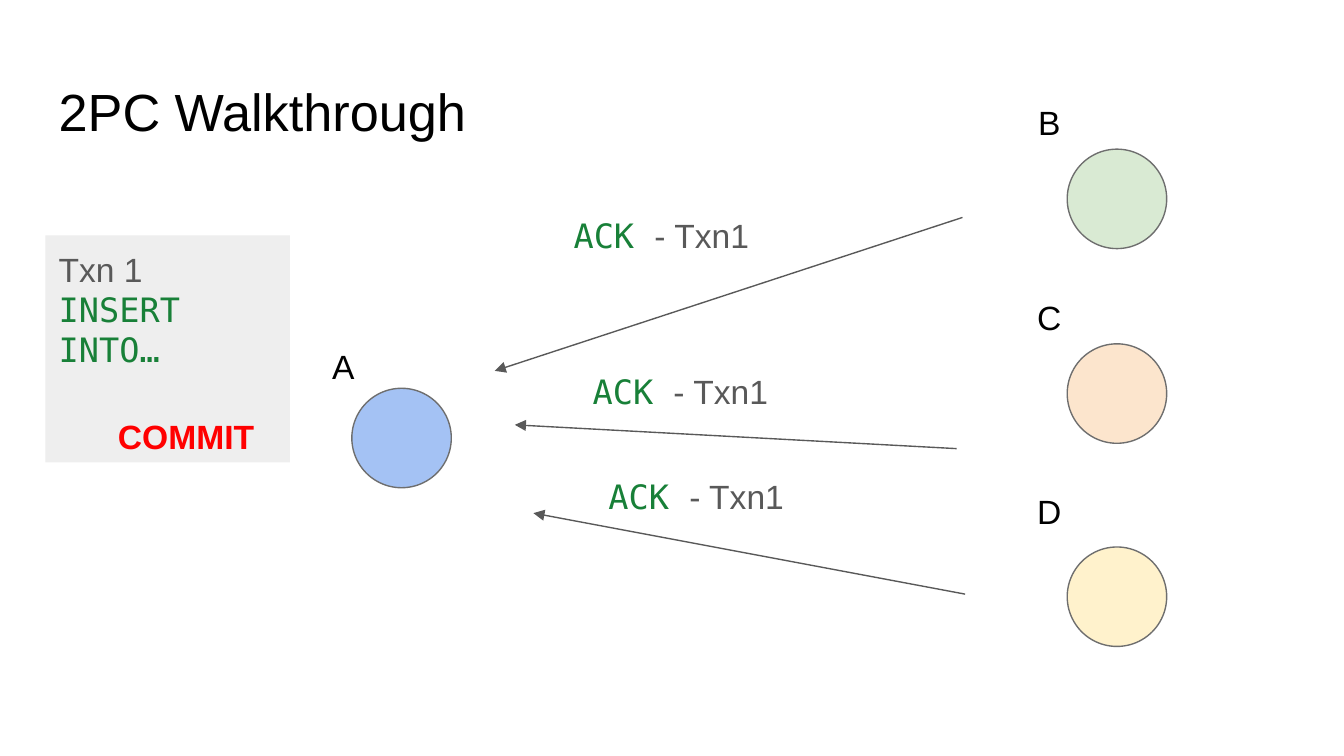
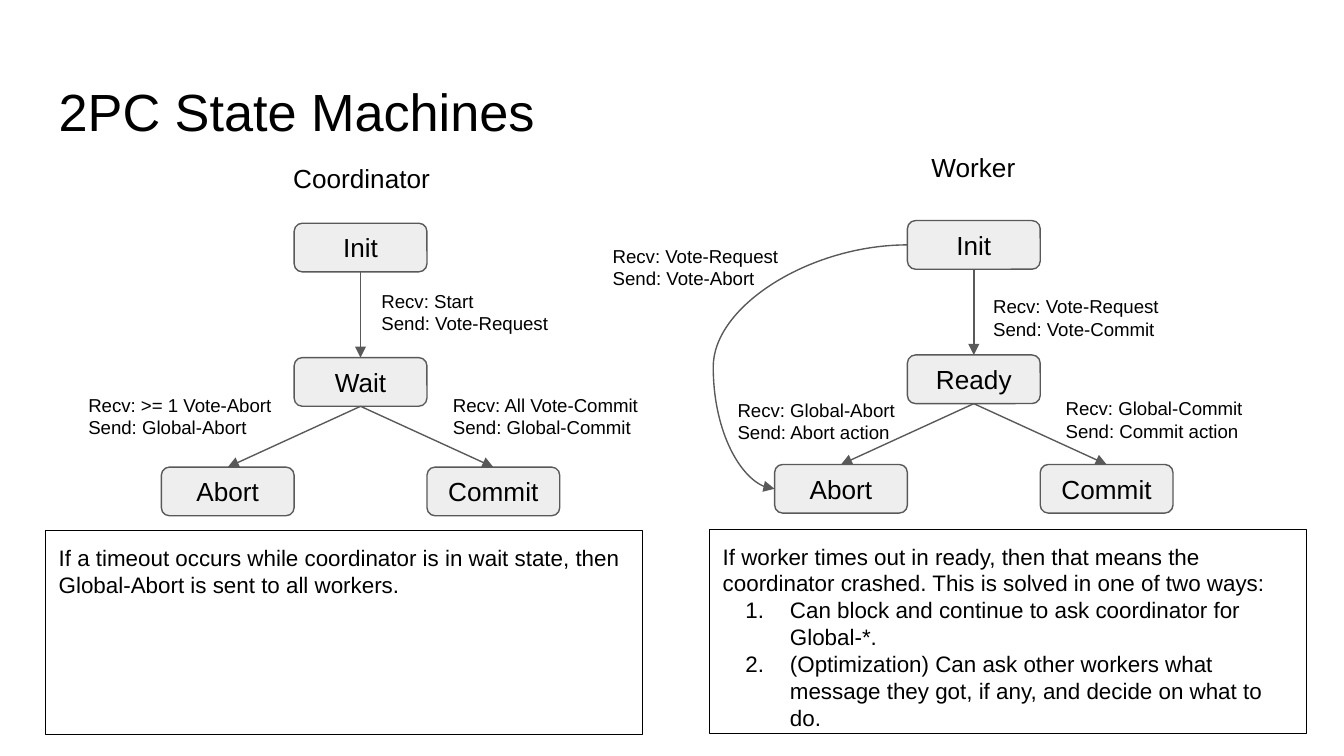
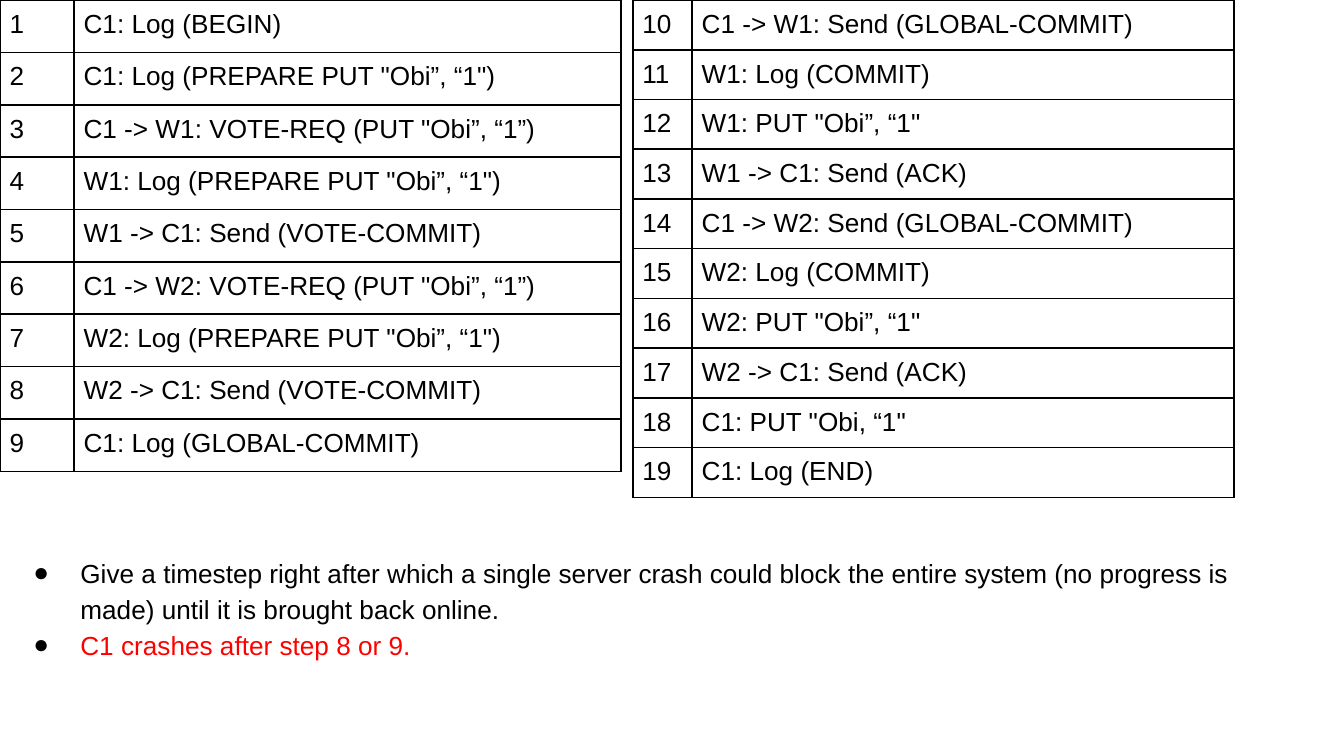
from dataclasses import dataclass
from typing import NamedTuple, Optional

from lxml.etree import SubElement
from pptx import Presentation
from pptx.dml.color import RGBColor
from pptx.enum.shapes import MSO_CONNECTOR as Connector, MSO_SHAPE as Preset
from pptx.enum.text import MSO_ANCHOR as Anchor, MSO_AUTO_SIZE as AutoSize, PP_ALIGN as Align
from pptx.oxml.ns import qn
from pptx.util import Cm, Pt

BLACK = RGBColor(0x00, 0x00, 0x00)
RED = RGBColor(0xFF, 0x00, 0x00)
GREEN = RGBColor(0x18, 0x80, 0x38)
DARK_GRAY = RGBColor(0x59, 0x59, 0x59)
OUTLINE_GRAY = RGBColor(0x6E, 0x6E, 0x6E)
LIGHT_GRAY = RGBColor(0xEE, 0xEE, 0xEE)
NODE_BLUE = RGBColor(0xA4, 0xC2, 0xF4)
NODE_GREEN = RGBColor(0xD9, 0xEA, 0xD3)
NODE_ORANGE = RGBColor(0xFC, 0xE5, 0xCD)
NODE_YELLOW = RGBColor(0xFF, 0xF2, 0xCC)

SANS, MONO = "Arial", "DejaVu Sans Mono"
TITLE_ONLY, BLANK = 5, 6
TOP, LEFT, BOTTOM = 0, 1, 2
HAIRLINE = Pt(0.75)
INSET = Cm(0.25)
CELL_INSET = Cm(0.18)


class Box(NamedTuple):
    """Left, top, width and height in centimetres."""
    left: float
    top: float
    width: float
    height: float

    def lengths(self) -> tuple:
        return tuple(Cm(value) for value in self)


class Run(NamedTuple):
    text: str
    size: float = 18
    color: RGBColor = BLACK
    font: str = SANS
    bold: bool = False


class Marker(NamedTuple):
    tag: str
    attributes: dict
    hanging: float


NUMBER = Marker("a:buAutoNum", {"type": "arabicPeriod"}, 0.84)
BULLET = Marker("a:buChar", {"char": "●"}, 0.89)


@dataclass
class TextLine:
    runs: list[Run]
    alignment: Align = Align.LEFT
    spacing: float = 1.0
    marker: Optional[Marker] = None


@dataclass
class Server:
    name: str
    label_left: float
    label_top: float
    left: float
    top: float
    color: RGBColor


@dataclass
class Message:
    """An arrow with its caption position."""
    start: tuple[float, float]
    end: tuple[float, float]
    caption: tuple[float, float]


@dataclass
class Transition:
    left: float
    top: float
    received: str
    sent: str


@dataclass
class StateMachine:
    role: str
    heading: tuple[float, float]
    init: tuple[float, float]
    waiting: str
    transitions: list[Transition]
    note_box: Box
    note: list[TextLine]


@dataclass
class StepTable:
    left: float
    columns: tuple[float, float]
    row_height: float
    first_step: int
    steps: list[str]


def assign(target, values: dict) -> None:
    for name, value in values.items():
        setattr(target, name, value)


def add_marker(paragraph, marker: Marker) -> None:
    properties = paragraph._p.get_or_add_pPr()
    properties.set("marL", str(Cm(1.27)))
    properties.set("indent", str(-Cm(marker.hanging)))
    color = SubElement(properties, qn("a:buClr"))
    SubElement(color, qn("a:srgbClr"), val=str(BLACK))
    SubElement(properties, qn("a:buFont"), typeface=SANS)
    SubElement(properties, qn(marker.tag), marker.attributes)


def write_runs(paragraph, runs: list[Run]) -> None:
    for item in runs:
        run = paragraph.add_run()
        run.text = item.text
        assign(run.font, {"name": item.font, "size": Pt(item.size), "bold": item.bold})
        run.font.color.rgb = item.color


def write_text(shape, lines: list[TextLine], anchor: Anchor = Anchor.TOP) -> None:
    frame = shape.text_frame
    assign(frame, {
        "word_wrap": True, "auto_size": AutoSize.NONE, "vertical_anchor": anchor,
        "margin_left": INSET, "margin_right": INSET,
        "margin_top": INSET, "margin_bottom": INSET,
    })
    for index, line in enumerate(lines):
        paragraph = frame.add_paragraph() if index else frame.paragraphs[0]
        if line.marker:
            add_marker(paragraph, line.marker)
        assign(paragraph, {"alignment": line.alignment, "line_spacing": line.spacing})
        write_runs(paragraph, line.runs)


def add_text(slide, box: Box, lines: list[TextLine], anchor: Anchor = Anchor.TOP):
    shape = slide.shapes.add_textbox(*box.lengths())
    write_text(shape, lines, anchor)
    return shape


def add_preset(slide, preset: Preset, box: Box, fill: Optional[RGBColor] = None,
               line: Optional[RGBColor] = None):
    shape = slide.shapes.add_shape(preset, *box.lengths())
    shape.shadow.inherit = False
    if fill is None:
        shape.fill.background()
    else:
        shape.fill.solid()
        shape.fill.fore_color.rgb = fill
    if line is None:
        shape.line.fill.background()
    else:
        shape.line.color.rgb = line
        shape.line.width = HAIRLINE
    return shape


def add_arrow(slide, start=(0, 0), end=(0, 0), kind: Connector = Connector.STRAIGHT):
    points = [Cm(value) for value in (*start, *end)]
    connector = slide.shapes.add_connector(kind, *points)
    connector.line.color.rgb = DARK_GRAY
    connector.line.width = HAIRLINE
    properties = connector._element.spPr
    SubElement(properties.find(qn("a:ln")), qn("a:tailEnd"), type="triangle")
    SubElement(properties, qn("a:effectLst"))
    return connector


def join(slide, source, source_side: int, target, target_side: int,
         kind: Connector = Connector.STRAIGHT):
    connector = add_arrow(slide, kind=kind)
    connector.begin_connect(source, source_side)
    connector.end_connect(target, target_side)
    return connector


def add_titled_slide(presentation, title: str, width: float):
    slide = presentation.slides.add_slide(presentation.slide_layouts[TITLE_ONLY])
    placeholder = slide.shapes.title
    lengths = Box(0.86, 1.24, width, 1.6).lengths()
    assign(placeholder, dict(zip(("left", "top", "width", "height"), lengths)))
    write_text(placeholder, [TextLine([Run(title, 28)])])
    return slide


SERVERS = [
    Server("A", 5.79, 6.35, 6.65, 7.34, NODE_BLUE),
    Server("B", 19.13, 1.75, 20.17, 2.82, NODE_GREEN),
    Server("C", 19.13, 5.44, 20.17, 6.5, NODE_ORANGE),
    Server("D", 19.13, 9.09, 20.17, 10.34, NODE_YELLOW),
]
MESSAGES = [
    Message((18.19, 4.11), (9.35, 7.01), (10.59, 3.81)),
    Message((18.08, 8.48), (9.73, 8.03), (10.95, 6.76)),
    Message((18.24, 11.23), (10.08, 9.7), (11.25, 8.74)),
]


def build_walkthrough(presentation) -> None:
    slide = add_titled_slide(presentation, "2PC Walkthrough", 11.84)
    transaction = add_preset(slide, Preset.RECTANGLE, Box(0.86, 4.45, 4.62, 4.29), LIGHT_GRAY)
    write_text(transaction, [
        TextLine([Run("Txn 1", color=DARK_GRAY)]),
        TextLine([Run("INSERT INTO…", color=GREEN, font=MONO)]),
    ])
    for server in SERVERS:
        add_text(slide, Box(server.label_left, server.label_top, 1.4, 1.22),
                 [TextLine([Run(server.name)], Align.CENTER, 0.9)], Anchor.MIDDLE)
        add_preset(slide, Preset.OVAL, Box(server.left, server.top, 1.88, 1.88),
                   server.color, OUTLINE_GRAY)
    for message in MESSAGES:
        add_arrow(slide, message.start, message.end)
        add_text(slide, Box(*message.caption, 6.17, 1.32), [TextLine([
            Run("ACK ", color=GREEN, font=MONO), Run("- Txn1", color=DARK_GRAY)])])
    add_text(slide, Box(1.98, 7.62, 3.2, 0.86),
             [TextLine([Run("COMMIT", color=RED, bold=True)])])


COORDINATOR = StateMachine(
    "Coordinator", (5.08, 2.82), (5.56, 4.22), "Wait",
    [
        Transition(6.96, 5.23, "Start", "Vote-Request"),
        Transition(8.31, 7.19, "All Vote-Commit", "Global-Commit"),
        Transition(1.42, 7.19, ">= 1 Vote-Abort", "Global-Abort"),
    ],
    Box(0.86, 10.03, 11.28, 3.86),
    [TextLine([Run("If a timeout occurs while coordinator is in wait state, "
                   "then Global-Abort is sent to all workers.", 12)])],
)
WORKER = StateMachine(
    "Worker", (16.64, 2.62), (17.15, 4.17), "Ready",
    [
        Transition(18.52, 5.33, "Vote-Request", "Vote-Commit"),
        Transition(19.89, 7.26, "Global-Commit", "Commit action"),
        Transition(13.69, 7.29, "Global-Abort", "Abort action"),
        Transition(11.33, 4.37, "Vote-Request", "Vote-Abort"),
    ],
    Box(13.41, 10.01, 11.28, 3.86),
    [
        TextLine([Run("If worker times out in ready, then that means the coordinator "
                      "crashed. This is solved in one of two ways:", 12)]),
        TextLine([Run("Can block and continue to ask coordinator for Global-*.", 12)],
                 marker=NUMBER),
        TextLine([Run("(Optimization) Can ask other workers what message they got, "
                      "if any, and decide on what to do.", 12)], marker=NUMBER),
    ],
)


def add_state_machine(slide, machine: StateMachine) -> dict:
    """Draw one machine and return its state shapes by name."""
    width, height = 2.51, 0.92
    left, top = machine.init
    places = {
        "Init": (left, top),
        machine.waiting: (left, top + 2.54),
        "Abort": (left - width, top + 4.61),
        "Commit": (left + width, top + 4.61),
    }
    add_text(slide, Box(*machine.heading, 3.51, 1.37),
             [TextLine([Run(machine.role, 14)], Align.CENTER)])
    states = {}
    for name, place in places.items():
        states[name] = add_preset(slide, Preset.ROUNDED_RECTANGLE, Box(*place, width, height),
                                  LIGHT_GRAY, DARK_GRAY)
        write_text(states[name], [TextLine([Run(name, 14)], Align.CENTER)], Anchor.MIDDLE)
    for source, target in (("Init", machine.waiting), (machine.waiting, "Abort"),
                           (machine.waiting, "Commit")):
        join(slide, states[source], BOTTOM, states[target], TOP)
    for transition in machine.transitions:
        add_text(slide, Box(transition.left, transition.top, 4.39, 1.32), [
            TextLine([Run(f"Recv: {transition.received}", 10)]),
            TextLine([Run(f"Send: {transition.sent}", 10)]),
        ])
    note = add_preset(slide, Preset.RECTANGLE, machine.note_box, line=BLACK)
    write_text(note, machine.note)
    return states


def build_state_machines(presentation) -> None:
    slide = add_titled_slide(presentation, "2PC State Machines", 23.67)
    add_state_machine(slide, COORDINATOR)
    states = add_state_machine(slide, WORKER)
    curve = join(slide, states["Init"], LEFT, states["Abort"], LEFT, Connector.CURVE)
    adjustments = curve._element.spPr.find(qn("a:prstGeom")).find(qn("a:avLst"))
    SubElement(adjustments, qn("a:gd"), name="adj1", fmla="val 146200")


STEP_TABLES = [
    StepTable(0, (1.4, 10.34), 0.99, 1, [
        'C1: Log (BEGIN)',
        'C1: Log (PREPARE PUT "Obi”, “1")',
        'C1 -> W1: VOTE-REQ (PUT "Obi”, “1”)',
        'W1: Log (PREPARE PUT "Obi”, “1")',
        'W1 -> C1: Send (VOTE-COMMIT)',
        'C1 -> W2: VOTE-REQ (PUT "Obi”, “1”)',
        'W2: Log (PREPARE PUT "Obi”, “1")',
        'W2 -> C1: Send (VOTE-COMMIT)',
        'C1: Log (GLOBAL-COMMIT)',
    ]),
    StepTable(11.96, (1.12, 10.24), 0.94, 10, [
        'C1 -> W1: Send (GLOBAL-COMMIT)',
        'W1: Log (COMMIT)',
        'W1: PUT "Obi”, “1"',
        'W1 -> C1: Send (ACK)',
        'C1 -> W2: Send (GLOBAL-COMMIT)',
        'W2: Log (COMMIT)',
        'W2: PUT "Obi”, “1"',
        'W2 -> C1: Send (ACK)',
        'C1: PUT "Obi, “1"',
        'C1: Log (END)',
    ]),
]


def format_cell(cell, text: str) -> None:
    assign(cell, {f"margin_{side}": CELL_INSET for side in ("left", "right", "top", "bottom")})
    properties = cell._tc.get_or_add_tcPr()
    for side in "LRTB":
        border = SubElement(properties, qn(f"a:ln{side}"), w=str(Pt(1)))
        fill = SubElement(border, qn("a:solidFill"))
        SubElement(fill, qn("a:srgbClr"), val=str(BLACK))
    cell.fill.background()
    write_runs(cell.text_frame.paragraphs[0], [Run(text, 14)])


def add_step_table(slide, steps: StepTable) -> None:
    count = len(steps.steps)
    box = Box(steps.left, 0, sum(steps.columns), steps.row_height * count)
    table = slide.shapes.add_table(count, 2, *box.lengths()).table
    assign(table, {"first_row": False, "horz_banding": False})
    for column, width in zip(table.columns, steps.columns):
        column.width = Cm(width)
    for index, (row, step) in enumerate(zip(table.rows, steps.steps)):
        row.height = Cm(steps.row_height)
        for cell, text in zip(row.cells, (str(steps.first_step + index), step)):
            format_cell(cell, text)


def build_crash_question(presentation) -> None:
    slide = presentation.slides.add_slide(presentation.slide_layouts[BLANK])
    question = ("Give a timestep right after which a single server crash could block the "
                "entire system (no progress is made) until it is brought back online.")
    answer = "C1 crashes after step 8 or 9."
    add_text(slide, Box(0, 10.19, 24.41, 3.45), [
        TextLine([Run(text, 14, color)], spacing=1.15, marker=BULLET)
        for text, color in ((question, BLACK), (answer, RED))
    ])
    for steps in STEP_TABLES:
        add_step_table(slide, steps)


def main() -> None:
    presentation = Presentation()
    assign(presentation, {"slide_width": Cm(25.4), "slide_height": Cm(14.29)})
    build_walkthrough(presentation)
    build_state_machines(presentation)
    build_crash_question(presentation)
    presentation.save("out.pptx")


if __name__ == "__main__":
    main()
